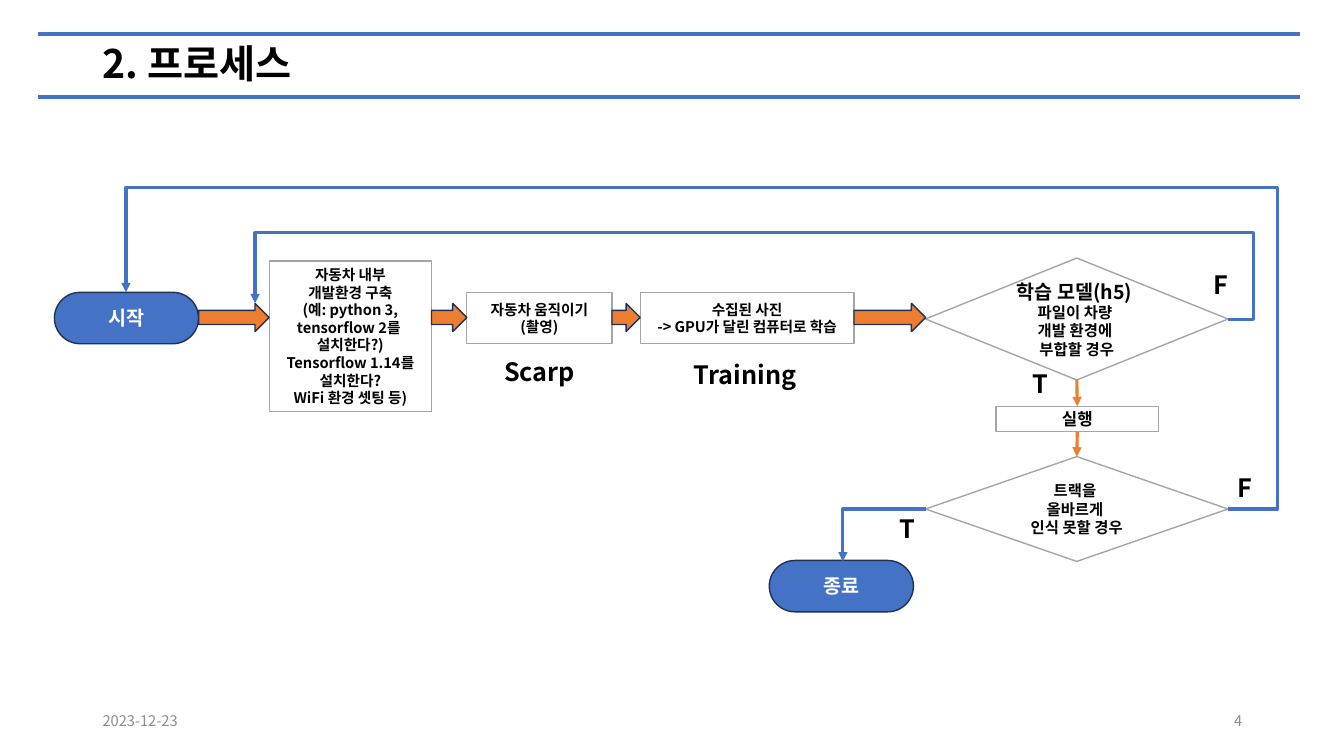
from dataclasses import dataclass
from itertools import pairwise

from lxml.etree import SubElement
from pptx import Presentation
from pptx.dml.color import RGBColor
from pptx.enum.shapes import MSO_CONNECTOR as LINE, MSO_SHAPE as SHAPE
from pptx.enum.text import MSO_ANCHOR as ANCHOR, PP_ALIGN as ALIGN
from pptx.oxml.ns import qn
from pptx.util import Inches, Pt


@dataclass(frozen=True)
class Theme:
    font: str = "Noto Sans CJK KR"
    blue: RGBColor = RGBColor(0x44, 0x72, 0xC4)
    orange: RGBColor = RGBColor(0xED, 0x7D, 0x31)
    navy: RGBColor = RGBColor(0x1E, 0x32, 0x56)
    border: RGBColor = RGBColor(0xA5, 0xA5, 0xA5)
    muted: RGBColor = RGBColor(0x8C, 0x8C, 0x8C)
    black: RGBColor = RGBColor(0, 0, 0)
    white: RGBColor = RGBColor(255, 255, 255)
    title: float = 28
    label: float = 18
    terminal: float = 14
    action: float = 12
    decision: float = 11
    small: float = 10.5


theme = Theme()


def write(shape, paragraphs, size, color=theme.black, align=ALIGN.CENTER,
          bold=True, anchor=ANCHOR.MIDDLE):
    """Fill a shape with paragraphs; a newline inside one is a line break."""
    frame = shape.text_frame
    frame.word_wrap = True
    frame.vertical_anchor = anchor
    for i, text in enumerate(paragraphs):
        paragraph = frame.add_paragraph() if i else frame.paragraphs[0]
        paragraph.text = text
        paragraph.alignment = align
        font = paragraph.font
        font.size, font.bold, font.name = Pt(size), bold, theme.font
        font.color.rgb = color
        SubElement(font._element, qn("a:ea"), typeface=theme.font)


def connect(points, color, width, arrow=True):
    """Draw a straight or bent connector through right-angled points."""
    (x1, y1), (x2, y2) = points[0], points[-1]
    kind = LINE.STRAIGHT if len(points) == 2 else LINE.ELBOW
    connector = slide.shapes.add_connector(kind, *map(Inches, (x1, y1, x2, y2)))
    connector.line.color.rgb = color
    connector.line.width = Pt(width)
    properties = connector._element.spPr
    if arrow:
        SubElement(connector.line._get_or_add_ln(), qn("a:tailEnd"), type="triangle")
    SubElement(properties, qn("a:effectLst"))
    if len(points) > 2:
        geometry = properties.find(qn("a:prstGeom"))
        geometry.set("prst", f"bentConnector{len(points) - 1}")
        if len(points) == 5:
            turn_x, turn_y = points[2]
            bends = (turn_x - x1) / (x2 - x1), (turn_y - y1) / (y2 - y1)
            guides = geometry.find(qn("a:avLst"))
            for i, bend in enumerate(bends, 1):
                SubElement(guides, qn("a:gd"), name=f"adj{i}",
                           fmla=f"val {round(bend * 100000)}")
    return connector


deck = Presentation()
deck.slide_width, deck.slide_height = Inches(13.33), Inches(7.5)
slide = deck.slides.add_slide(deck.slide_layouts[5])

# Header and footer
for y in (0.34, 0.96):
    connect([(0.38, y), (12.89, y)], theme.blue, 3, arrow=False)
title = slide.shapes.title
title.left, title.top, title.width, title.height = map(Inches, (0.92, 0.38, 11.5, 0.55))
write(title, ["2. 프로세스"], theme.title, align=ALIGN.LEFT)
title.text_frame.paragraphs[0].line_spacing = 0.9
for x, text, align in ((0.92, "2023-12-23", ALIGN.LEFT), (9.42, "4", ALIGN.RIGHT)):
    footer = slide.shapes.add_textbox(*map(Inches, (x, 6.95, 3, 0.4)))
    write(footer, [text], theme.small, theme.muted, align, bold=False)

# Flow steps: shape, box, text size, paragraphs
terminal, process, decision = SHAPE.ROUNDED_RECTANGLE, SHAPE.RECTANGLE, SHAPE.DIAMOND
main_row = [
    (terminal, (0.54, 2.9, 1.43, 0.51), theme.terminal, ["시작"]),
    (process, (2.67, 2.59, 1.61, 1.49), theme.small,
     ["자동차 내부", "개발환경 구축", "(예: python 3, tensorflow 2를 \n설치한다?)",
      "Tensorflow 1.14를", "설치한다?", "WiFi 환경 셋팅 등)"]),
    (process, (4.63, 2.9, 1.44, 0.51), theme.small, ["자동차 움직이기", "(촬영)"]),
    (process, (6.35, 2.9, 2.12, 0.51), theme.small,
     ["수집된 사진", "-> GPU가 달린 컴퓨터로 학습"]),
    (decision, (9.18, 2.56, 3, 1.21), theme.decision,
     ["학습 모델(h5) \n파일이 차량 \n개발 환경에 \n부합할 경우"]),
]
lower_steps = [
    (process, (9.88, 4.03, 1.61, 0.25), theme.action, ["실행"]),
    (decision, (9.18, 4.53, 3, 1.04), theme.decision,
     ["트랙을 \n올바르게 \n인식 못할 경우"]),
    (terminal, (7.63, 5.56, 1.43, 0.51), theme.terminal, ["종료"]),
]
steps = []
for kind, box, size, paragraphs in main_row + lower_steps:
    step = slide.shapes.add_shape(kind, *map(Inches, box))
    is_terminal = kind == terminal
    if is_terminal:
        step.adjustments[0] = 0.5
    step.shadow.inherit = False
    step.fill.solid()
    step.fill.fore_color.rgb = theme.blue if is_terminal else theme.white
    step.line.color.rgb = theme.navy if is_terminal else theme.border
    step.line.width = Pt(1)
    write(step, paragraphs, size, theme.white if is_terminal else theme.black)
    steps.append(step)
model_check, run_step, track_check = steps[4:7]
model_check.text_frame.paragraphs[0].runs[0].font.size = Pt(theme.terminal)

# Block arrows fill the gaps in the main row
for (_, before, *_), (_, after, *_) in pairwise(main_row):
    start = before[0] + before[2]
    arrow = slide.shapes.add_shape(
        SHAPE.RIGHT_ARROW, *map(Inches, (start, 3.01, after[0] - start, 0.28)))
    arrow.shadow.inherit = False
    arrow.fill.solid()
    arrow.fill.fore_color.rgb = theme.orange
    arrow.line.color.rgb = theme.navy
    arrow.line.width = Pt(1)

# Downward links, then the branches of the two decisions
for upper, lower in pairwise((model_check, run_step, track_check)):
    link = connect([(10.68, 3.77), (10.68, 4.03)], theme.orange, 2.25)
    link.begin_connect(upper, 2)
    link.end_connect(lower, 0)
for branch in (
    [(12.18, 3.17), (12.43, 3.17), (12.43, 2.31), (2.53, 2.31), (2.53, 3.01)],
    [(12.18, 5.05), (12.67, 5.05), (12.67, 1.86), (1.25, 1.86), (1.25, 2.9)],
    [(9.18, 5.05), (8.36, 5.05), (8.36, 5.57)],
):
    connect(branch, theme.blue, 2.25)

# Stage names and branch answers
for text, x, y, width, align in (
    ("Training", 6.33, 3.52, 2.12, ALIGN.CENTER),
    ("Scarp", 4.29, 3.49, 2.12, ALIGN.CENTER),
    ("F", 12.18, 4.64, 0.49, ALIGN.LEFT),
    ("F", 11.94, 2.62, 0.49, ALIGN.LEFT),
    ("T", 10.14, 3.6, 0.49, ALIGN.LEFT),
    ("T", 8.82, 5.04, 0.49, ALIGN.LEFT),
):
    label = slide.shapes.add_textbox(*map(Inches, (x, y, width, 0.4)))
    write(label, [text], theme.label, align=align, anchor=ANCHOR.TOP)

deck.save("out.pptx")
